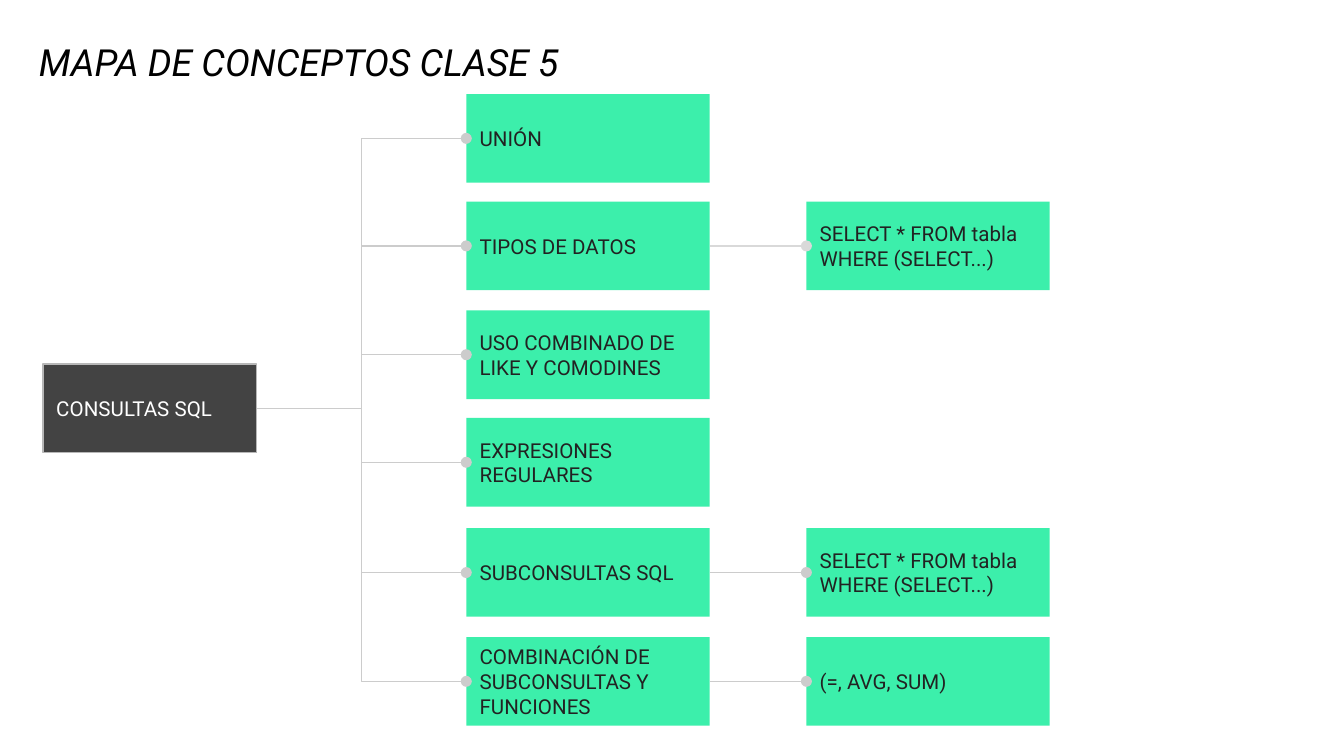
from dataclasses import dataclass
from typing import Optional

from lxml import etree
from pptx import Presentation
from pptx import util as u
from pptx.dml.color import RGBColor
from pptx.enum import shapes, text
from pptx.oxml import ns

COLORS = {
    "title": "000000",
    "root": "434343",
    "root_border": "B7B7B7",
    "root_text": "FFFFFF",
    "concept": "3CEFAB",
    "concept_text": "222222",
    "link": "CCCCCC",
    "pale_link": "D9D9D9",
}
FONT = "Roboto"
BOX_HEIGHT = 0.66
ROOT_LEFT, ROOT_TOP, ROOT_WIDTH = 0.32, 2.71, 1.59
CONCEPT_LEFT, EXAMPLE_LEFT, CONCEPT_WIDTH = 3.47, 6, 1.81
RIGHT_SITE, LEFT_SITE = 3, 1


@dataclass
class Concept:
    label: str
    top: float
    example: Optional[str] = None
    example_link: str = "link"


SUBQUERY = "SELECT * FROM tabla WHERE (SELECT...)"
CONCEPTS = [
    Concept("UNIÓN", 0.7),
    Concept("TIPOS DE DATOS", 1.5, SUBQUERY, "pale_link"),
    Concept("USO COMBINADO DE LIKE Y COMODINES", 2.31),
    Concept("EXPRESIONES REGULARES", 3.11),
    Concept("SUBCONSULTAS SQL", 3.93, SUBQUERY),
    Concept("COMBINACIÓN DE SUBCONSULTAS Y FUNCIONES", 4.74, "(=, AVG, SUM)"),
]


def rgb(name: str) -> RGBColor:
    return RGBColor.from_string(COLORS[name])


def add_text(frame, wording: str, size: float, color: str, italic: bool = False) -> None:
    paragraph = frame.paragraphs[0]
    paragraph.alignment = text.PP_ALIGN.LEFT
    run = paragraph.add_run()
    run.text = wording
    run.font.name = FONT
    run.font.size = u.Pt(size)
    run.font.italic = italic
    run.font.color.rgb = rgb(color)


def add_title(slide, wording: str) -> None:
    title = slide.shapes.title
    title.left, title.top = u.Inches(0.19), u.Inches(0.22)
    title.width, title.height = u.Inches(8.26), u.Inches(0.46)
    frame = title.text_frame
    frame.auto_size = text.MSO_AUTO_SIZE.NONE
    frame.vertical_anchor = text.MSO_ANCHOR.BOTTOM
    add_text(frame, wording, 20, "title", italic=True)
    frame.paragraphs[0].line_spacing = 0.9


def add_box(slide, wording: str, left: float, top: float, width: float,
            kind: str = "concept", border: Optional[str] = None):
    box = slide.shapes.add_shape(
        shapes.MSO_SHAPE.RECTANGLE,
        u.Inches(left), u.Inches(top), u.Inches(width), u.Inches(BOX_HEIGHT))
    box.shadow.inherit = False
    box.fill.solid()
    box.fill.fore_color.rgb = rgb(kind)
    if border:
        box.line.color.rgb = rgb(border)
        box.line.width = u.Pt(0.75)
    else:
        box.line.fill.background()
    frame = box.text_frame
    frame.word_wrap = True
    frame.vertical_anchor = text.MSO_ANCHOR.MIDDLE
    frame.margin_left = frame.margin_right = u.Inches(0.1)
    frame.margin_top = frame.margin_bottom = u.Inches(0.1)
    add_text(frame, wording, 11, f"{kind}_text")
    return box


def link(slide, source, target, route, color: str = "link") -> None:
    connector = slide.shapes.add_connector(route, 0, 0, 0, 0)
    connector.begin_connect(source, RIGHT_SITE)
    connector.end_connect(target, LEFT_SITE)
    connector.line.color.rgb = rgb(color)
    connector.line.width = u.Pt(0.75)
    outline = connector.line._get_or_add_ln()
    etree.SubElement(outline, ns.qn("a:tailEnd"), type="oval", w="med", len="med")
    etree.SubElement(connector._element.spPr, ns.qn("a:effectLst"))


def main() -> None:
    deck = Presentation()
    deck.slide_width = u.Inches(10)
    deck.slide_height = deck.slide_width * 9 // 16
    slide = deck.slides.add_slide(deck.slide_layouts.get_by_name("Title Only"))
    add_title(slide, "MAPA DE CONCEPTOS CLASE 5")

    root = add_box(slide, "CONSULTAS SQL", ROOT_LEFT, ROOT_TOP, ROOT_WIDTH,
                   "root", "root_border")
    for concept in CONCEPTS:
        branch = add_box(slide, concept.label, CONCEPT_LEFT, concept.top, CONCEPT_WIDTH)
        link(slide, root, branch, shapes.MSO_CONNECTOR.ELBOW)
        if concept.example:
            example = add_box(slide, concept.example, EXAMPLE_LEFT, concept.top, CONCEPT_WIDTH)
            link(slide, branch, example, shapes.MSO_CONNECTOR.STRAIGHT, concept.example_link)

    deck.save("out.pptx")


if __name__ == "__main__":
    main()
